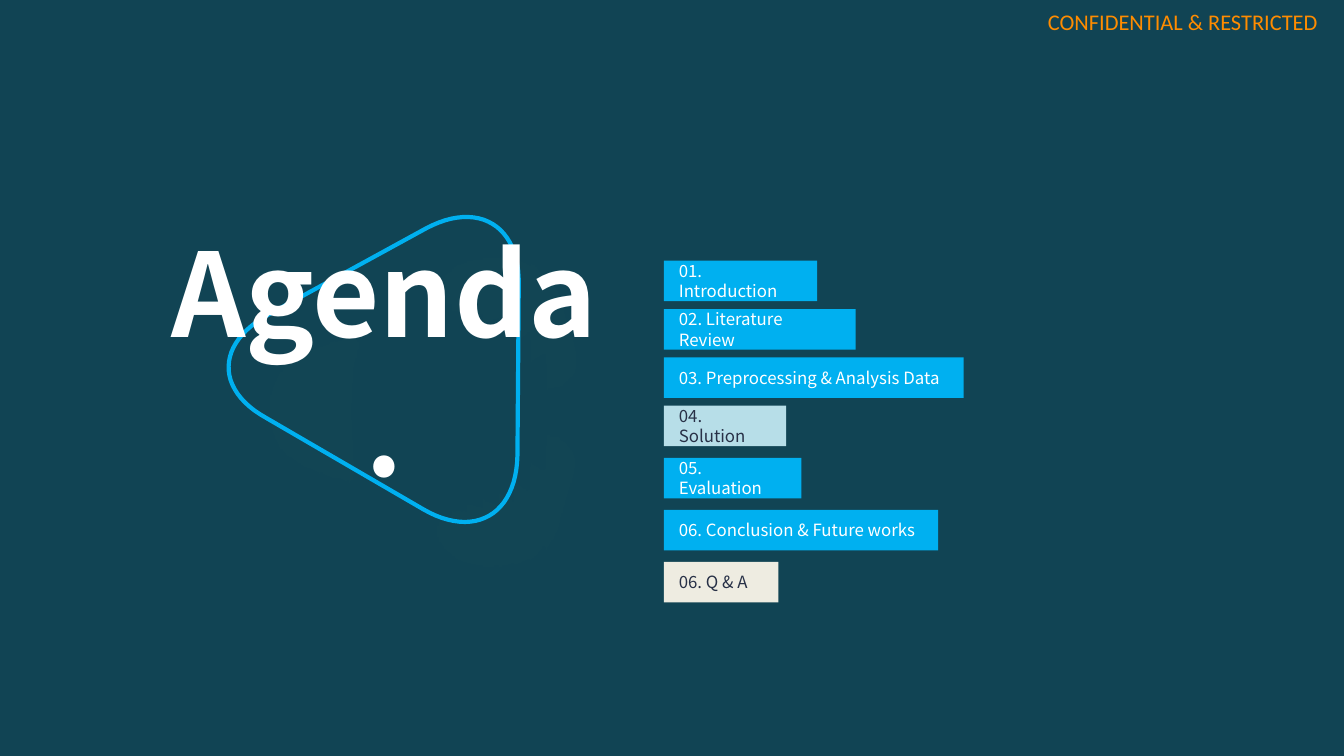
import pptx
import pptx.dml.color
import pptx.enum.shapes
import pptx.enum.text
import pptx.oxml
import pptx.oxml.ns
import pptx.util
from dataclasses import dataclass

Pt = pptx.util.Pt
ALIGN = pptx.enum.text.PP_ALIGN


@dataclass(frozen=True)
class Theme:
    background: str = "114454"
    accent: str = "00B0F0"
    pale_blue: str = "B7DEE8"
    cream: str = "EEECE1"
    white: str = "FFFFFF"
    dark: str = "283147"
    notice: str = "FF8C00"
    font: str = "Noto Sans CJK KR"
    notice_font: str = "Calibri"
    title_size: float = 62.2
    label_size: float = 9
    notice_size: float = 12


THEME = Theme()

LABEL_LEFT, LABEL_HEIGHT = 355.7, 21.7
FIRST_TOP = 139.7
TIGHT_STEP, WIDE_STEP = 25.9, 27.9
TIGHT_ROWS = 3

# Wording, width, fill, text colour
AGENDA = [
    ("01. Introduction", 82.1, THEME.accent, THEME.white),
    ("02. Literature Review", 102.7, THEME.accent, THEME.white),
    ("03. Preprocessing & Analysis Data", 160.6, THEME.accent, THEME.white),
    ("04. Solution", 65.5, THEME.pale_blue, THEME.dark),
    ("05. Evaluation", 73.7, THEME.accent, THEME.white),
    ("06. Conclusion & Future works", 146.9, THEME.accent, THEME.white),
    ("06. Q & A", 61.4, THEME.cream, THEME.dark),
]

# Rounded corners of the triangle, each as four Bezier points
CORNERS = [
    [(277.2, 244.1), (276.5, 275.8), (254.2, 288.7), (226.8, 272.9)],
    [(142.6, 223.9), (115.2, 208.8), (115.9, 183.6), (144, 168.5)],
    [(228.2, 122.4), (256.3, 107.3), (278.6, 121), (277.9, 152.6)],
]


def rgb(value):
    return pptx.dml.color.RGBColor.from_string(value)


def write_text(shape, text, size, color, font, align, insets, bold=False):
    frame = shape.text_frame
    frame.word_wrap = True
    frame.auto_size = pptx.enum.text.MSO_AUTO_SIZE.NONE
    frame.vertical_anchor = pptx.enum.text.MSO_ANCHOR.MIDDLE
    left, top, right, bottom = insets
    frame.margin_left, frame.margin_right = Pt(left), Pt(right)
    frame.margin_top, frame.margin_bottom = Pt(top), Pt(bottom)
    paragraph = frame.paragraphs[0]
    paragraph.alignment = align
    run = paragraph.add_run()
    run.text = text
    run.font.name = font
    run.font.size = Pt(size)
    run.font.bold = bold
    run.font.color.rgb = rgb(color)


def add_text(slide, box, *text_style, **options):
    shape = slide.shapes.add_textbox(*map(Pt, box))
    write_text(shape, *text_style, **options)


def add_label(slide, top, text, width, fill, color):
    shape = slide.shapes.add_shape(
        pptx.enum.shapes.MSO_SHAPE.RECTANGLE,
        Pt(LABEL_LEFT), Pt(top), Pt(width), Pt(LABEL_HEIGHT))
    shape.shadow.inherit = False
    shape.fill.solid()
    shape.fill.fore_color.rgb = rgb(fill)
    shape.line.fill.background()
    write_text(shape, text, THEME.label_size, color, THEME.font,
               ALIGN.LEFT, (8, 5, 8, 5))


def curve_points(corner, steps=24):
    for step in range(steps + 1):
        t = step / steps
        weights = ((1 - t) ** 3, 3 * t * (1 - t) ** 2, 3 * t * t * (1 - t), t ** 3)
        yield tuple(Pt(sum(w * point[axis] for w, point in zip(weights, corner)))
                    for axis in (0, 1))


def add_soft_shadow(shape, color, blur, distance, angle, opacity):
    shape.shadow.inherit = False
    effects = shape._element.spPr.find(pptx.oxml.ns.qn("a:effectLst"))
    effects.append(pptx.oxml.parse_xml(
        f'<a:outerShdw {pptx.oxml.ns.nsdecls("a")} blurRad="{Pt(blur)}" '
        f'dist="{Pt(distance)}" dir="{angle * 60000}" algn="tl" rotWithShape="0">'
        f'<a:srgbClr val="{color}"><a:alpha val="{opacity * 1000}"/></a:srgbClr>'
        '</a:outerShdw>'))


def add_triangle(slide):
    points = [point for corner in CORNERS for point in curve_points(corner)]
    builder = slide.shapes.build_freeform(*points[0])
    builder.add_line_segments(points[1:], close=True)
    shape = builder.convert_to_shape()
    shape.fill.background()
    shape.line.color.rgb = rgb(THEME.accent)
    shape.line.width = Pt(2.25)
    add_soft_shadow(shape, THEME.cream, blur=69, distance=32, angle=45, opacity=17)


def main():
    presentation = pptx.Presentation()
    presentation.slide_width, presentation.slide_height = Pt(720), Pt(405)
    slide = presentation.slides.add_slide(presentation.slide_layouts[6])
    slide.background.fill.solid()
    slide.background.fill.fore_color.rgb = rgb(THEME.background)

    # Confidentiality notice
    add_text(slide, (547.9, 0, 172.1, 23), "CONFIDENTIAL & RESTRICTED",
             THEME.notice_size, THEME.notice, THEME.notice_font,
             ALIGN.RIGHT, (0, 0, 14, 0))

    # Title over the triangle
    add_triangle(slide)
    add_text(slide, (75.6, 151.9, 260.6, 82.8), "Agenda.",
             THEME.title_size, THEME.white, THEME.font,
             ALIGN.CENTER, (7.2, 3.6, 7.2, 3.6), bold=True)

    # Agenda labels: the later rows stand wider apart
    top = FIRST_TOP
    for row, item in enumerate(AGENDA):
        add_label(slide, top, *item)
        top += TIGHT_STEP if row < TIGHT_ROWS else WIDE_STEP

    presentation.save("out.pptx")


if __name__ == "__main__":
    main()
